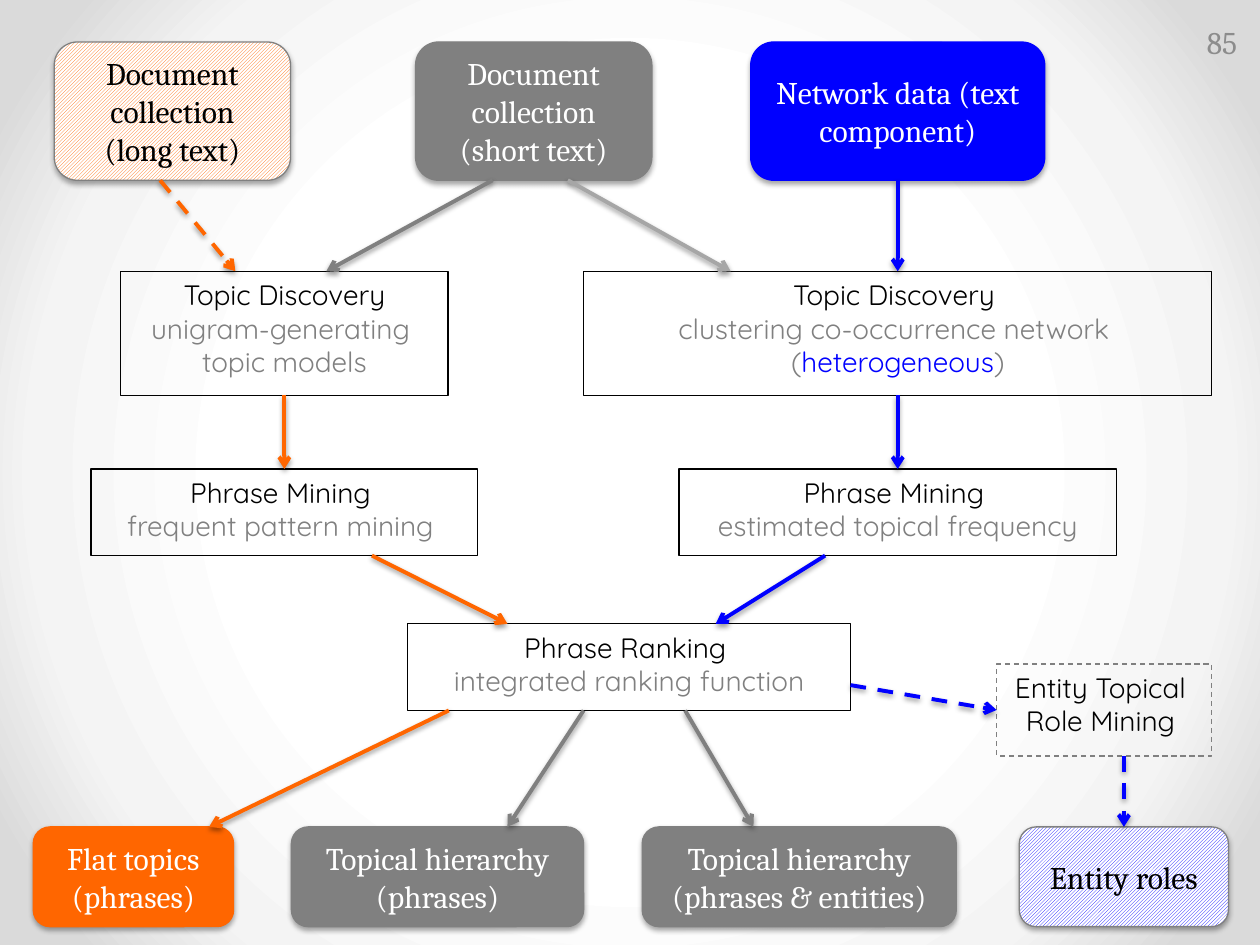
from lxml.etree import SubElement
from pptx import Presentation
from pptx.dml.color import RGBColor
from pptx.enum.dml import MSO_LINE, MSO_PATTERN
from pptx.enum.shapes import MSO_CONNECTOR, MSO_SHAPE
from pptx.enum.text import MSO_ANCHOR, PP_ALIGN
from pptx.oxml import parse_xml
from pptx.oxml.ns import nsdecls, qn
from pptx.util import Pt

COLORS = {
    "black": "000000", "white": "FFFFFF", "gray": "808080", "light gray": "A6A6A6",
    "number": "8C8C8C", "blue": "0000FF", "orange": "FF6600",
    "mist": "F4F4F4", "silver": "DADADA",
}
BACKGROUND_STOPS = [(50, "white"), (76, "mist"), (92, "silver")]
TOP, LEFT = 0, 1
BOTTOM = 2

# Rows of the flow chart: top, height
ROWS = {
    "input": (24, 79), "discovery": (155, 71), "mining": (268, 49.5),
    "ranking": (356.5, 49.5), "role": (379.5, 52.5), "output": (472.5, 57),
}

# Steps: name, row, left, width, border, paragraphs of (text, color) runs
STEPS = [
    ("left discovery", "discovery", 69, 187, "black",
     [[("Topic Discovery ", "black"), ("unigram-generating ", "gray")],
      [("topic models", "gray")]]),
    ("left mining", "mining", 52, 221, "black",
     [[("Phrase Mining ", "black")], [("frequent pattern mining ", "gray")]]),
    ("ranking", "ranking", 233, 253, "black",
     [[("Phrase Ranking ", "black")], [("integrated ranking function", "gray")]]),
    ("right mining", "mining", 388, 250, "black",
     [[("Phrase Mining ", "black")], [("estimated topical frequency", "gray")]]),
    ("right discovery", "discovery", 333.5, 359, "black",
     [[("Topic Discovery ", "black")],
      [("clustering co-occurrence network ", "gray")],
      [("(", "gray"), ("heterogeneous", "blue"), (")", "gray")]]),
    ("role mining", "role", 569.5, 123, "gray",
     [[("Entity Topical ", "black")], [("Role Mining ", "black")]]),
]

# Inputs and outputs: name, row, left, width, color, hatched, lines
DATA_BOXES = [
    ("long text", "input", 31, 135, "orange", True, ["Document collection (long text)"]),
    ("short text", "input", 237.5, 135, "gray", False, ["Document collection (short text)"]),
    ("network", "input", 429, 168, "blue", False, ["Network data (text component)"]),
    ("flat topics", "output", 19, 114.5, "orange", False, ["Flat topics", "(phrases)"]),
    ("phrase tree", "output", 166.5, 167, "gray", False, ["Topical hierarchy", "(phrases)"]),
    ("entity tree", "output", 367, 179.5, "gray", False,
     ["Topical hierarchy", "(phrases & entities)"]),
    ("entity roles", "output", 582.5, 119.5, "blue", True, ["Entity roles"]),
]

# Arrows: start, end, color, dashed; an end is a point or (box name, side)
ARROWS = [
    ((91.5, 103), (134.5, 155), "orange", True),
    ((281.5, 103), (186.5, 155), "gray", False),
    ((324.5, 103), (417.5, 155), "light gray", False),
    (("network", BOTTOM), ("right discovery", TOP), "blue", False),
    (("left discovery", BOTTOM), ("left mining", TOP), "orange", False),
    (("right discovery", BOTTOM), ("right mining", TOP), "blue", False),
    ((212.5, 317.5), (290, 356.5), "orange", False),
    ((471.5, 317.5), (409, 356.5), "blue", False),
    ((486, 391.5), ("role mining", LEFT), "blue", True),
    ((642.25, 432), ("entity roles", TOP), "blue", True),
    ((256.5, 406), (119.5, 472.5), "orange", False),
    ((333.5, 406), (290, 472.5), "gray", False),
    ((391.5, 406), (430.5, 472.5), "gray", False),
]


def rgb(color):
    return RGBColor.from_string(COLORS[color])


def write_text(shape, paragraphs, *, font, size, align=PP_ALIGN.CENTER,
               anchor=MSO_ANCHOR.MIDDLE):
    frame = shape.text_frame
    frame.word_wrap = True
    frame.vertical_anchor = anchor
    for index, runs in enumerate(paragraphs):
        paragraph = frame.add_paragraph() if index else frame.paragraphs[0]
        paragraph.alignment = align
        for text, color in runs:
            run = paragraph.add_run()
            run.text = text
            run.font.name = font
            run.font.size = Pt(size)
            run.font.color.rgb = rgb(color)


def add_shadow(shape, distance, opacity):
    shape.element.spPr.append(parse_xml(
        f'<a:effectLst {nsdecls("a")}><a:outerShdw blurRad="{Pt(3.1)}" dist="{Pt(distance)}" '
        f'dir="5400000" rotWithShape="0"><a:srgbClr val="{COLORS["black"]}">'
        f'<a:alpha val="{opacity * 1000}"/></a:srgbClr></a:outerShdw></a:effectLst>'))


def add_box(slide, kind, row, left, width, border):
    top, height = ROWS[row]
    shape = slide.shapes.add_shape(kind, Pt(left), Pt(top), Pt(width), Pt(height))
    shape.line.color.rgb = rgb(border)
    shape.line.width = Pt(0.75)
    return shape


def add_step(slide, row, left, width, border, paragraphs):
    shape = add_box(slide, MSO_SHAPE.RECTANGLE, row, left, width, border)
    shape.fill.background()
    shape.shadow.inherit = False
    if row == "role":
        shape.line.dash_style = MSO_LINE.DASH
    write_text(shape, paragraphs, font="Quicksand", size=16, anchor=MSO_ANCHOR.TOP)
    return shape


def add_data_box(slide, row, left, width, color, hatched, lines):
    border, ink = ("gray", "black") if hatched else (color, "white")
    shape = add_box(slide, MSO_SHAPE.ROUNDED_RECTANGLE, row, left, width, border)
    if hatched:
        shape.fill.patterned()
        shape.fill.pattern = MSO_PATTERN.LIGHT_UPWARD_DIAGONAL
        shape.fill.fore_color.rgb = rgb(color)
        shape.fill.back_color.rgb = rgb("white")
    else:
        shape.fill.solid()
        shape.fill.fore_color.rgb = rgb(color)
    add_shadow(shape, distance=1.8, opacity=35)
    write_text(shape, [[(line, ink)] for line in lines], font="Cambria", size=18)
    return shape


def add_arrow(slide, boxes, start, end, color, dashed):
    points = [(0, 0) if place[0] in boxes else place for place in (start, end)]
    connector = slide.shapes.add_connector(
        MSO_CONNECTOR.STRAIGHT, *(Pt(value) for point in points for value in point))
    for place, connect in ((start, connector.begin_connect), (end, connector.end_connect)):
        if place[0] in boxes:
            connect(boxes[place[0]], place[1])
    connector.line.color.rgb = rgb(color)
    connector.line.width = Pt(2.25)
    if dashed:
        connector.line.dash_style = MSO_LINE.DASH
    SubElement(connector.element.spPr.find(qn("a:ln")), qn("a:tailEnd"), type="arrow")
    add_shadow(connector, distance=1.6, opacity=38)


def set_background(slide):
    slide.background.fill.solid()
    properties = slide.element.xpath("p:cSld/p:bg/p:bgPr")[0]
    stops = "".join(f'<a:gs pos="{position * 1000}"><a:srgbClr val="{COLORS[color]}"/></a:gs>'
                    for position, color in BACKGROUND_STOPS)
    properties.replace(properties[0], parse_xml(
        f'<a:gradFill {nsdecls("a")} rotWithShape="1"><a:gsLst>{stops}</a:gsLst>'
        '<a:path path="circle"><a:fillToRect l="50000" t="50000" r="50000" b="50000"/>'
        '</a:path></a:gradFill>'))


def main():
    presentation = Presentation()
    presentation.slide_width, presentation.slide_height = Pt(720), Pt(540)
    slide = presentation.slides.add_slide(presentation.slide_layouts[6])
    set_background(slide)

    # Boxes, then the arrows that join them
    boxes = {name: add_step(slide, *step) for name, *step in STEPS}
    boxes.update({name: add_data_box(slide, *box) for name, *box in DATA_BOXES})
    for arrow in ARROWS:
        add_arrow(slide, boxes, *arrow)

    # Slide number
    number = slide.shapes.add_textbox(Pt(670), Pt(9.5), Pt(44), Pt(29))
    write_text(number, [[("85", "number")]], font="Cambria", size=18, align=PP_ALIGN.RIGHT)

    presentation.save("out.pptx")


if __name__ == "__main__":
    main()
